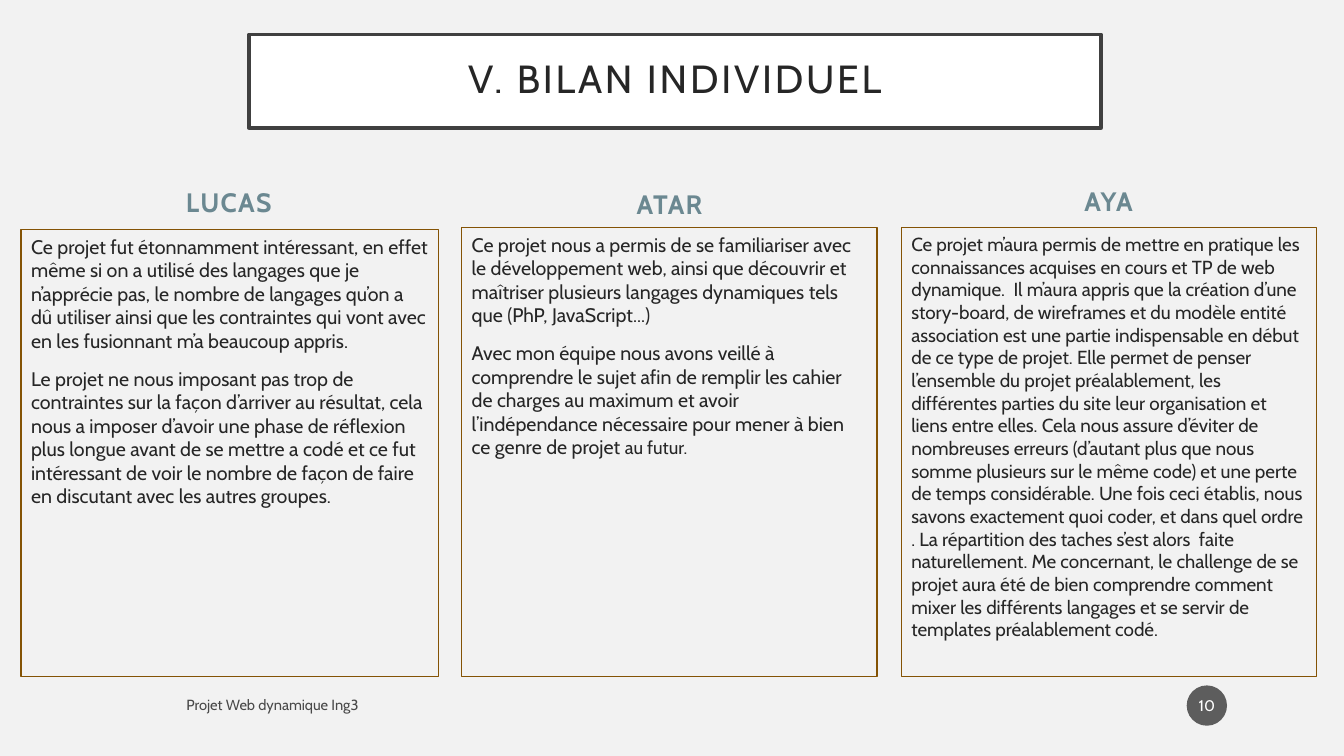
"""Build the slide "V. Bilan individuel" with three personal reviews side by side."""
from pptx import Presentation
from pptx.dml.color import RGBColor
from pptx.enum.shapes import MSO_SHAPE
from pptx.enum.text import MSO_ANCHOR, PP_ALIGN
from pptx.util import Inches, Pt

RECTANGLE, OVAL = MSO_SHAPE.RECTANGLE, MSO_SHAPE.OVAL
TOP, MIDDLE, BOTTOM = MSO_ANCHOR.TOP, MSO_ANCHOR.MIDDLE, MSO_ANCHOR.BOTTOM
LEFT, CENTER = PP_ALIGN.LEFT, PP_ALIGN.CENTER

BACKGROUND = RGBColor(0xF2, 0xF2, 0xF2)
WHITE = RGBColor(0xFF, 0xFF, 0xFF)
INK = RGBColor(0x26, 0x26, 0x26)
FRAME = RGBColor(0x40, 0x40, 0x40)
BROWN = RGBColor(0x84, 0x53, 0x05)
TEAL = RGBColor(0x6B, 0x88, 0x91)
FOOTER_GREY = RGBColor(0x49, 0x49, 0x49)
BADGE_GREY = RGBColor(0x5D, 0x5D, 0x5D)
FONT = "Cabin"

TITLE = "V. BILAN INDIVIDUEL"
FOOTER = "Projet Web dynamique Ing3"
PAGE_NUMBER = "10"

REVIEWS = [
    {
        "name": "LUCAS", "name_area": (0.3, 1.76, 3.94, 0.45),
        "area": (0.21, 2.28, 4.14, 4.43), "size": 14,
        "paragraphs": [
            "Ce projet fut étonnamment intéressant, en effet même si on a utilisé des "
            "langages que je n’apprécie pas, le nombre de langages qu’on a dû utiliser "
            "ainsi que les contraintes qui vont avec en les fusionnant m’a beaucoup appris.",
            "Le projet ne nous imposant pas trop de contraintes sur la façon d’arriver au "
            "résultat, cela nous a imposer d’avoir une phase de réflexion plus longue avant "
            "de se mettre a codé et ce fut intéressant de voir le nombre de façon de faire "
            "en discutant avec les autres groupes.",
        ],
    },
    {
        "name": "ATAR", "name_area": (4.67, 1.78, 3.94, 0.45),
        "area": (4.58, 2.26, 4.12, 4.45), "size": 14,
        "paragraphs": [
            "Ce projet nous a permis de se familiariser avec le développement web, ainsi que "
            "découvrir et maîtriser plusieurs langages dynamiques tels que (PhP, JavaScript...)",
            "Avec mon équipe nous avons veillé à comprendre le sujet afin de remplir les "
            "cahier de charges au maximum et avoir l’indépendance nécessaire pour mener à "
            "bien ce genre de projet ",
        ],
        "ending": ("au futur.", 13),
    },
    {
        "name": "AYA", "name_area": (8.93, 1.75, 4.13, 0.45),
        "area": (8.94, 2.26, 4.12, 4.45), "size": 13.5,
        "paragraphs": [
            "Ce projet m’aura permis de mettre en pratique les connaissances acquises en "
            "cours et TP de web dynamique.  Il m’aura appris que la création d’une "
            "story-board, de wireframes et du modèle entité association est une partie "
            "indispensable en début de ce type de projet. Elle permet de penser l’ensemble "
            "du projet préalablement, les différentes parties du site leur organisation et "
            "liens entre elles. ",
        ],
        "ending": (
            "Cela nous assure d’éviter de nombreuses erreurs (d’autant plus que nous somme "
            "plusieurs sur le même code) et une perte de temps considérable. Une fois ceci "
            "établis, nous savons exactement quoi coder, et dans quel ordre . La répartition "
            "des taches s’est alors  faite naturellement. Me concernant, le challenge de se "
            "projet aura été de bien comprendre comment mixer les différents langages et se "
            "servir de templates préalablement codé.", 13.5),
    },
]


def add_box(page, area, kind=None, fill=None, line=None, line_width=1):
    """Add a text box, or a preset shape when a kind is given."""
    place = [Inches(length) for length in area]
    if kind is None:
        return page.shapes.add_textbox(*place)
    box = page.shapes.add_shape(kind, *place)
    box.shadow.inherit = False
    if fill is None:
        box.fill.background()
    else:
        box.fill.solid()
        box.fill.fore_color.rgb = fill
    if line is None:
        box.line.fill.background()
    else:
        box.line.color.rgb = line
        box.line.width = Pt(line_width)
    return box


def write(box, texts, size, color, align=LEFT, anchor=TOP, bold=False,
          before=0, tracking=0, insets=(0.1, 0.05)):
    """Fill a box with paragraphs of one style and return the last paragraph."""
    frame = box.text_frame
    frame.word_wrap = True
    frame.vertical_anchor = anchor
    frame.margin_left = frame.margin_right = Inches(insets[0])
    frame.margin_top = frame.margin_bottom = Inches(insets[1])
    for index, text in enumerate(texts):
        paragraph = frame.add_paragraph() if index else frame.paragraphs[0]
        paragraph.alignment = align
        paragraph.space_before = Pt(before)
        font = paragraph.font
        font.name, font.size, font.bold = FONT, Pt(size), bold
        font.color.rgb = color
        span = paragraph.add_run()
        span.text = text
        if tracking:
            span._r.get_or_add_rPr().set("spc", str(tracking * 100))
    return paragraph


def add_review(page, review):
    """Add one person's name and the framed review below it."""
    write(add_box(page, review["name_area"]), [review["name"]], 19, TEAL,
          CENTER, BOTTOM, bold=True, before=10, tracking=1)
    box = add_box(page, review["area"], RECTANGLE, line=BROWN)
    paragraph = write(box, review["paragraphs"], review["size"], INK, before=10)
    if "ending" in review:
        text, size = review["ending"]
        span = paragraph.add_run()
        span.text = text
        span.font.size = Pt(size)


def main():
    """Build and save the deck."""
    deck = Presentation()
    deck.slide_width, deck.slide_height = Inches(13.33), Inches(7.5)
    page = deck.slides.add_slide(deck.slide_layouts[6])
    page.background.fill.solid()
    page.background.fill.fore_color.rgb = BACKGROUND

    title = add_box(page, (2.47, 0.34, 8.45, 0.93), RECTANGLE, WHITE, FRAME, 2.5)
    heading = write(title, [TITLE], 28, INK, CENTER, MIDDLE, tracking=2, insets=(0.2, 0.2))
    heading.line_spacing = 0.9
    for review in REVIEWS:
        add_review(page, review)
    write(add_box(page, (1.75, 6.82, 6.45, 0.35)), [FOOTER], 10.5, FOOTER_GREY, anchor=MIDDLE)
    badge = add_box(page, (11.77, 6.8, 0.4, 0.4), OVAL, BADGE_GREY)
    write(badge, [PAGE_NUMBER], 11, WHITE, CENTER, MIDDLE, insets=(0.02, 0.05))
    deck.save("out.pptx")


if __name__ == "__main__":
    main()
